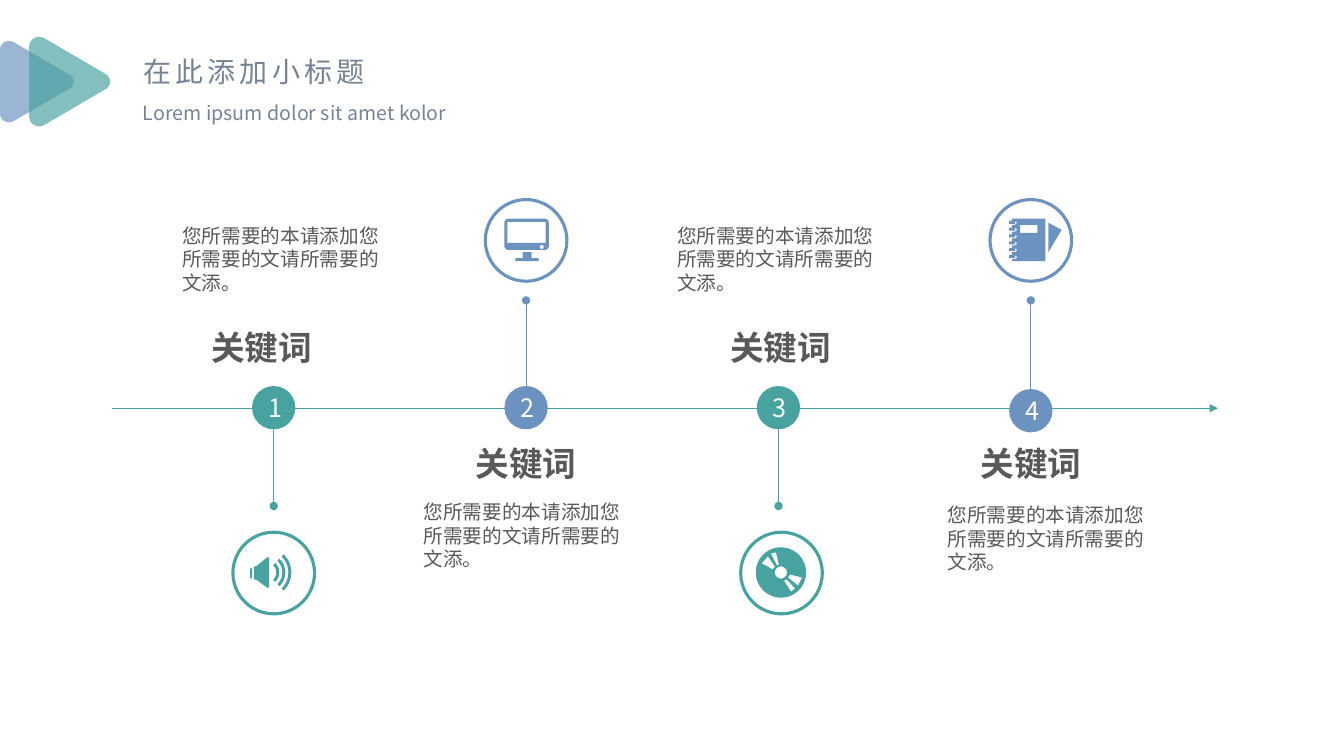
from collections import namedtuple
from math import cos, radians, sin

from lxml import etree
from pptx import Presentation
from pptx.dml.color import RGBColor
from pptx.enum.shapes import MSO_CONNECTOR, MSO_SHAPE
from pptx.enum.text import MSO_ANCHOR, MSO_AUTO_SIZE, PP_ALIGN
from pptx.oxml.ns import qn
from pptx.util import Inches, Pt

STRAIGHT = MSO_CONNECTOR.STRAIGHT
OVAL = MSO_SHAPE.OVAL
TOP, MIDDLE = MSO_ANCHOR.TOP, MSO_ANCHOR.MIDDLE
NO_AUTOFIT = MSO_AUTO_SIZE.NONE
LEFT, CENTER = PP_ALIGN.LEFT, PP_ALIGN.CENTER

FONT = "Noto Sans CJK SC"
TEAL, BLUE, SLATE, GRAY, WHITE = "48A2A0", "6C92C0", "768394", "595959", "FFFFFF"
KEYWORD = "关键词"
BODY = "您所需要的本请添加您所需要的文请所需要的文添。"

TITLE_FORMAT = {"size": Pt(20), "bold": False}
SUBTITLE_FORMAT = {"size": Pt(14), "bold": False}
BODY_FORMAT = {"size": Pt(14), "bold": False}
KEYWORD_FORMAT = {"size": Pt(24), "bold": True}
BADGE_FORMAT = {"size": Pt(18), "bold": False}

Step = namedtuple("Step", "color icon above ring_x badge_y body_x body_y keyword_x")


def rgb(color):
    return RGBColor.from_string(color)


def write(shape, text, font_format, color, align=LEFT, anchor=TOP, wrap=True, spacing=None):
    frame = shape.text_frame
    frame_format = {"word_wrap": wrap, "auto_size": NO_AUTOFIT, "vertical_anchor": anchor}
    for key, value in frame_format.items():
        setattr(frame, key, value)
    paragraph = frame.paragraphs[0]
    paragraph.alignment = align
    paragraph.line_spacing = spacing
    run = paragraph.add_run()
    run.text = text
    for key, value in {**font_format, "name": FONT}.items():
        setattr(run.font, key, value)
    run.font.color.rgb = rgb(color)
    etree.SubElement(run.font._element, qn("a:ea"), typeface=FONT)
    return run


def add_label(slide, box, *args, **kwargs):
    write(slide.shapes.add_textbox(*map(Inches, box)), *args, **kwargs)


def add_line(slide, start, end, color, **arrowheads):
    line = slide.shapes.add_connector(STRAIGHT, *map(Inches, start + end))
    line.line.color.rgb = rgb(color)
    line.line.width = Pt(0.5)
    outline = line.line._get_or_add_ln()
    for tag, kind in arrowheads.items():
        etree.SubElement(outline, qn("a:" + tag), type=kind)
    etree.SubElement(line._element.spPr, qn("a:effectLst"))


def add_circle(slide, left, top, size, fill=None, outline=None):
    circle = slide.shapes.add_shape(OVAL, *map(Inches, (left, top, size, size)))
    circle.shadow.inherit = False
    if fill:
        circle.fill.solid()
        circle.fill.fore_color.rgb = rgb(fill)
        circle.line.fill.background()
    else:
        circle.fill.background()
        circle.line.color.rgb = rgb(outline)
        circle.line.width = Pt(2.25)
    return circle


def add_outline(slide, left, top, contours, color, opacity=None):
    placed = [[(Inches(left + x), Inches(top + y)) for x, y in contour] for contour in contours]
    builder = slide.shapes.build_freeform(*placed[0][0], scale=1.0)
    for index, contour in enumerate(placed):
        if index:
            builder.move_to(*contour[0])
        builder.add_line_segments(contour[1:], close=True)
    outline = builder.convert_to_shape()
    outline.shadow.inherit = False
    outline.line.fill.background()
    outline.fill.solid()
    outline.fill.fore_color.rgb = rgb(color)
    if opacity:
        tint = outline.fill._xPr.find(".//" + qn("a:srgbClr"))
        etree.SubElement(tint, qn("a:alpha"), val=str(opacity * 1000))


def arc(x, y, radius, start, end, steps=12):
    angles = [radians(start + (end - start) * i / steps) for i in range(steps + 1)]
    return [(x + radius * cos(a), y + radius * sin(a)) for a in angles]


def disc(x, y, radius):
    return arc(x, y, radius, 0, 360, 48)[:-1]


def rect(left, top, right, bottom):
    return [(left, top), (right, top), (right, bottom), (left, bottom)]


def bezier(*points, steps=10):
    curve = []
    for i in range(steps + 1):
        t = i / steps
        weights = ((1 - t) ** 3, 3 * t * (1 - t) ** 2, 3 * t * t * (1 - t), t ** 3)
        curve.append(tuple(sum(w * p[axis] for w, p in zip(weights, points)) for axis in (0, 1)))
    return curve


def speaker():
    horn = [(0.21, 0.34), (0.23, 0.34), (0.34, 0.25), (0.36, 0.25),
            (0.36, 0.55), (0.34, 0.55), (0.23, 0.47), (0.21, 0.47)]
    back = [(0.17, 0.37), (0.19, 0.35), (0.19, 0.46), (0.17, 0.45)]
    waves = [arc(0.33, 0.4, r, -46, 46) + arc(0.33, 0.4, r + 0.03, 46, -46)
             for r in (0.1, 0.16, 0.22)]
    return [horn, back, *waves]


def monitor():
    case = (arc(0.23, 0.23, 0.04, 180, 270) + arc(0.59, 0.23, 0.04, 270, 360)
            + arc(0.59, 0.46, 0.04, 0, 90) + arc(0.23, 0.46, 0.04, 90, 180))
    stand = [(0.3, 0.58), (0.37, 0.58), (0.37, 0.52), (0.46, 0.52),
             (0.46, 0.58), (0.53, 0.58), (0.53, 0.61), (0.3, 0.61)]
    return [case, rect(0.22, 0.22, 0.6, 0.43), disc(0.56, 0.47, 0.02), stand]


def compact_disc():
    glints = [[(0.36, 0.33), (0.38, 0.32), (0.35, 0.2), (0.3, 0.21)],
              [(0.32, 0.37), (0.34, 0.34), (0.27, 0.24), (0.21, 0.31)],
              [(0.46, 0.47), (0.43, 0.48), (0.5, 0.59), (0.54, 0.56)],
              [(0.61, 0.45), (0.49, 0.42), (0.47, 0.45), (0.57, 0.53)]]
    return [disc(0.4, 0.4, 0.25), disc(0.4, 0.4, 0.06), *glints]


def notebook():
    coil = [(0.22, 0.21), (0.19, 0.21), (0.19, 0.24), (0.25, 0.24),
            (0.25, 0.21), (0.27, 0.23), (0.25, 0.25), (0.22, 0.25)]
    spine = [(x, y + 0.34 * i / 5) for i in range(6) for x, y in coil]
    cover = [(0.22, 0.19), *spine, (0.22, 0.61), (0.55, 0.61), (0.55, 0.19)]
    pencil = [(0.58, 0.23), (0.58, 0.52), (0.71, 0.3)]
    return [cover, rect(0.3, 0.25, 0.47, 0.33), pencil]


def draw_emblem(slide, left, middle):
    upper = (bezier((0.75, -0.08), (0.15, -0.43), (0.15, -0.43), (0.15, -0.43), steps=1)
             + bezier((0.15, -0.43), (0.08, -0.47), (0, -0.42), (0, -0.35)))
    lower = [(x, -y) for x, y in reversed(upper)]
    tip = bezier((0.75, 0.08), (0.82, 0.05), (0.82, -0.05), (0.75, -0.08))
    for offset, scale, color in ((0, 0.91, BLUE), (0.29, 1, TEAL)):
        triangle = [(x * scale, y * scale) for x, y in upper + lower + tip]
        add_outline(slide, left + offset, middle, [triangle], color, 68)


def draw_header(slide, left, top):
    title = slide.shapes.title
    place = {"left": left, "top": top, "width": 2.46, "height": 0.44}
    for key, value in place.items():
        setattr(title, key, Inches(value))
    run = write(title, "在此添加小标题", TITLE_FORMAT, SLATE, wrap=False)
    run.font._element.set("spc", "300")
    add_label(slide, (left, top + 0.46, 3.23, 0.34), "Lorem ipsum dolor sit amet kolor",
              SUBTITLE_FORMAT, SLATE, wrap=False)


def draw_step(slide, left, axis, number, step):
    stem_y, ring_y, keyword_y = (-1.07, -2.07, 0.33) if step.above else (-0.01, 1.23, -0.82)
    center = left + 0.215
    add_line(slide, (center, axis + stem_y), (center, axis + stem_y + 0.98), step.color,
             headEnd="oval", tailEnd="oval")
    badge = add_circle(slide, left, axis + step.badge_y, 0.43, fill=step.color)
    write(badge, str(number), BADGE_FORMAT, WHITE, CENTER, MIDDLE)
    add_circle(slide, left + step.ring_x, axis + ring_y, 0.81, outline=step.color)
    add_outline(slide, left + step.ring_x, axis + ring_y, step.icon(), step.color)
    add_label(slide, (left + step.body_x, axis + step.body_y, 2.25, 0.81),
              BODY, BODY_FORMAT, GRAY)
    add_label(slide, (left + step.keyword_x, axis + keyword_y, 1.45, 0.48),
              KEYWORD, KEYWORD_FORMAT, GRAY, CENTER, spacing=0.94)


def draw_timeline(slide, left, axis, length):
    steps = [Step(TEAL, speaker, False, -0.19, -0.22, -0.79, -1.88, -0.63),
             Step(BLUE, monitor, True, -0.19, -0.22, -0.9, 0.86, -0.51),
             Step(TEAL, compact_disc, False, -0.16, -0.22, -0.89, -1.88, -0.49),
             Step(BLUE, notebook, True, -0.19, -0.19, -0.71, 0.89, -0.51)]
    add_line(slide, (left, axis), (left + length, axis), TEAL, tailEnd="triangle")
    for index, step in enumerate(steps):
        draw_step(slide, left + 1.39 + 2.503 * index, axis, index + 1, step)


def main():
    deck = Presentation()
    deck.slide_width, deck.slide_height = Inches(13.33), Inches(7.5)
    slide = deck.slides.add_slide(deck.slide_layouts[5])
    draw_header(slide, 1.32, 0.49)
    draw_emblem(slide, 0, 0.81)
    draw_timeline(slide, 1.11, 4.05, 10.97)
    deck.save("out.pptx")


if __name__ == "__main__":
    main()
